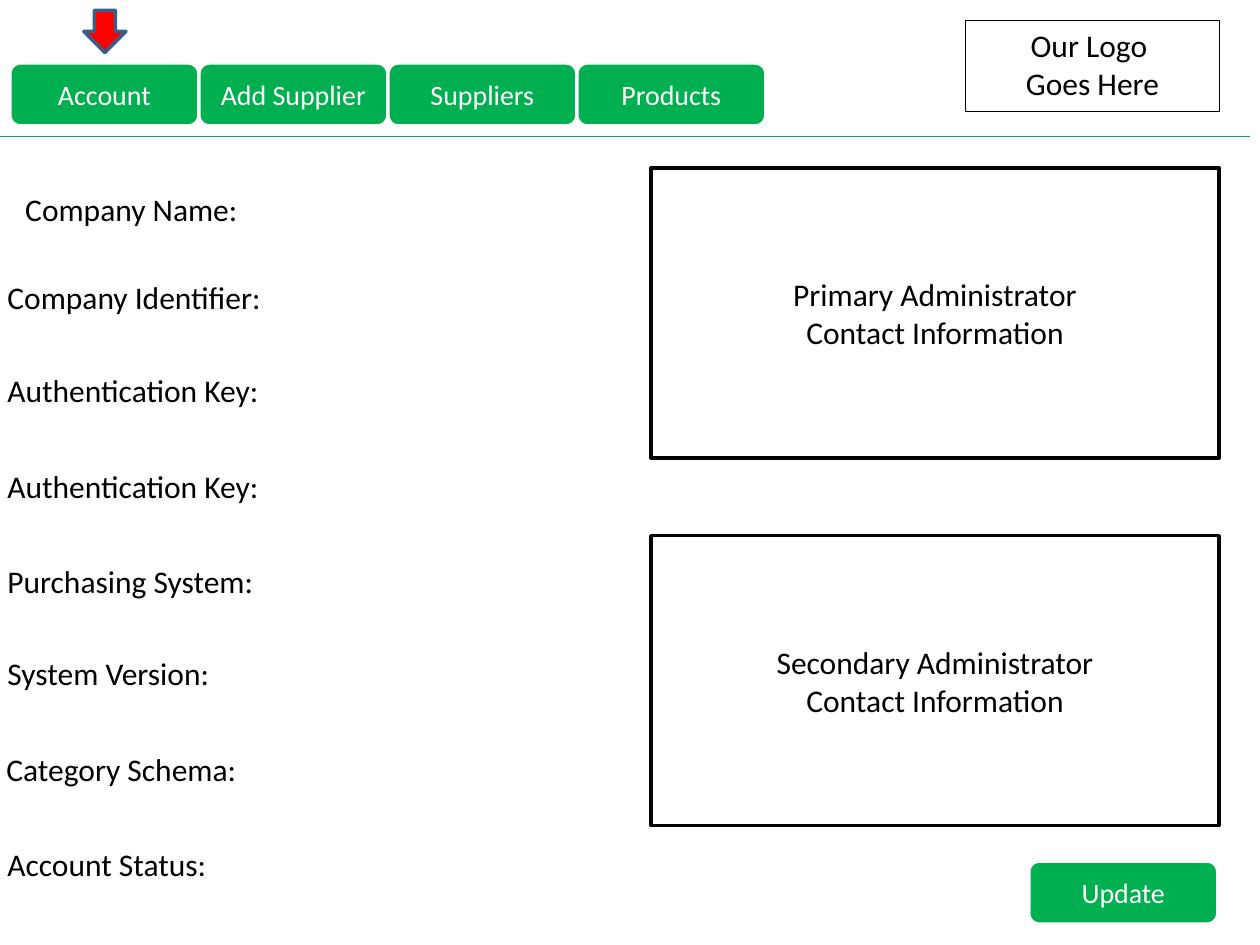
from dataclasses import dataclass

from lxml import etree
from pptx import Presentation
from pptx.dml.color import RGBColor
from pptx.enum.shapes import MSO_CONNECTOR, MSO_SHAPE
from pptx.enum.text import MSO_ANCHOR, MSO_AUTO_SIZE, PP_ALIGN
from pptx.oxml.ns import qn
from pptx.util import Cm, Pt

RECT, ROUNDED, DOWN_ARROW = MSO_SHAPE.RECTANGLE, MSO_SHAPE.ROUNDED_RECTANGLE, MSO_SHAPE.DOWN_ARROW
STRAIGHT = MSO_CONNECTOR.STRAIGHT
TOP, MIDDLE = MSO_ANCHOR.TOP, MSO_ANCHOR.MIDDLE
LEFT, CENTER = PP_ALIGN.LEFT, PP_ALIGN.CENTER
FIT_SHAPE = MSO_AUTO_SIZE.SHAPE_TO_FIT_TEXT


@dataclass(frozen=True)
class Theme:
    font: str = "Calibri"
    button_size: float = 16
    body_size: float = 18
    green: str = "00B050"
    red: str = "FF0000"
    blue: str = "395E89"
    black: str = "000000"
    white: str = "FFFFFF"
    thin: float = 0.75
    thick: float = 2


def write_text(tf, text, *, font, size, color, align=LEFT, anchor=TOP, wrap=True):
    tf.word_wrap = wrap
    tf.vertical_anchor = anchor
    tf.margin_left = tf.margin_right = tf.margin_top = tf.margin_bottom = Cm(0.1)
    for i, line in enumerate(text.split("\n")):
        p = tf.add_paragraph() if i else tf.paragraphs[0]
        p.alignment = align
        r = p.add_run()
        r.text = line
        r.font.name = font
        r.font.size = Pt(size)
        r.font.color.rgb = RGBColor.from_string(color)


class AccountPage:
    """Draws the elements of an account page on one slide in one theme."""

    def __init__(self, slide, theme):
        self.slide = slide
        self.theme = theme

    def shape(self, kind, x, y, w, h, line, width, fill=None):
        sp = self.slide.shapes.add_shape(kind, Cm(x), Cm(y), Cm(w), Cm(h))
        sp.shadow.inherit = False
        if fill:
            sp.fill.solid()
            sp.fill.fore_color.rgb = RGBColor.from_string(fill)
        else:
            sp.fill.background()
        sp.line.color.rgb = RGBColor.from_string(line)
        sp.line.width = Pt(width)
        return sp

    def button(self, text, x, y):
        t = self.theme
        sp = self.shape(ROUNDED, x, y, 3.81, 1.27, t.white, t.thick, t.green)
        write_text(sp.text_frame, text, font=t.font, size=t.button_size,
                   color=t.white, align=CENTER, anchor=MIDDLE)

    def box(self, text, x, y, w, h, width, fill=None, anchor=MIDDLE):
        t = self.theme
        sp = self.shape(RECT, x, y, w, h, t.black, width, fill)
        write_text(sp.text_frame, text, font=t.font, size=t.body_size,
                   color=t.black, align=CENTER, anchor=anchor)

    def label(self, text, x, y, w):
        t = self.theme
        sp = self.slide.shapes.add_textbox(Cm(x), Cm(y), Cm(w), Cm(0.97))
        write_text(sp.text_frame, text, font=t.font, size=t.body_size,
                   color=t.black, wrap=False)
        sp.text_frame.auto_size = FIT_SHAPE

    def marker(self, x, y, size):
        t = self.theme
        self.shape(DOWN_ARROW, x, y, size, size, t.blue, t.thick, t.red)

    def rule(self, y, width):
        cxn = self.slide.shapes.add_connector(STRAIGHT, Cm(0), Cm(y), Cm(width), Cm(y))
        cxn.line.color.rgb = RGBColor.from_string(self.theme.green)
        cxn.line.width = Pt(self.theme.thin)
        etree.SubElement(cxn._element.spPr, qn("a:effectLst"))


def main():
    prs = Presentation()
    prs.slide_width, prs.slide_height = Cm(25.4), Cm(19.05)
    theme = Theme()
    page = AccountPage(prs.slides.add_slide(prs.slide_layouts[6]), theme)

    for i, name in enumerate(("Account", "Add Supplier", "Suppliers", "Products")):
        page.button(name, 0.2 + 3.81 * i, 1.27)
    page.rule(2.75, 25.19)
    page.marker(1.69, 0.21, 0.85)

    fields = (
        ("Company Name:", 0.41, 3.73, 4.5),
        ("Company Identifier:", 0.05, 5.5, 5.33),
        ("Authentication Key:", 0.05, 7.38, 5.31),
        ("Authentication Key:", 0.05, 9.32, 5.31),
        ("Purchasing System:", 0.05, 11.23, 5.21),
        ("System Version:", 0.05, 13.09, 4.34),
        ("Category Schema:", 0.03, 15.03, 4.85),
        ("Account Status:", 0.05, 16.93, 4.24),
    )
    for field in fields:
        page.label(*field)

    for role, y in (("Primary", 3.39), ("Secondary", 10.8)):
        page.box(f"{role} Administrator\nContact Information", 13.12, y, 11.46, 5.84,
                 theme.thick, fill=theme.white)
    page.button("Update", 20.74, 17.36)
    page.box("Our Logo \nGoes Here", 19.47, 0.42, 5.11, 1.83, theme.thin, anchor=TOP)

    prs.save("out.pptx")


if __name__ == "__main__":
    main()
